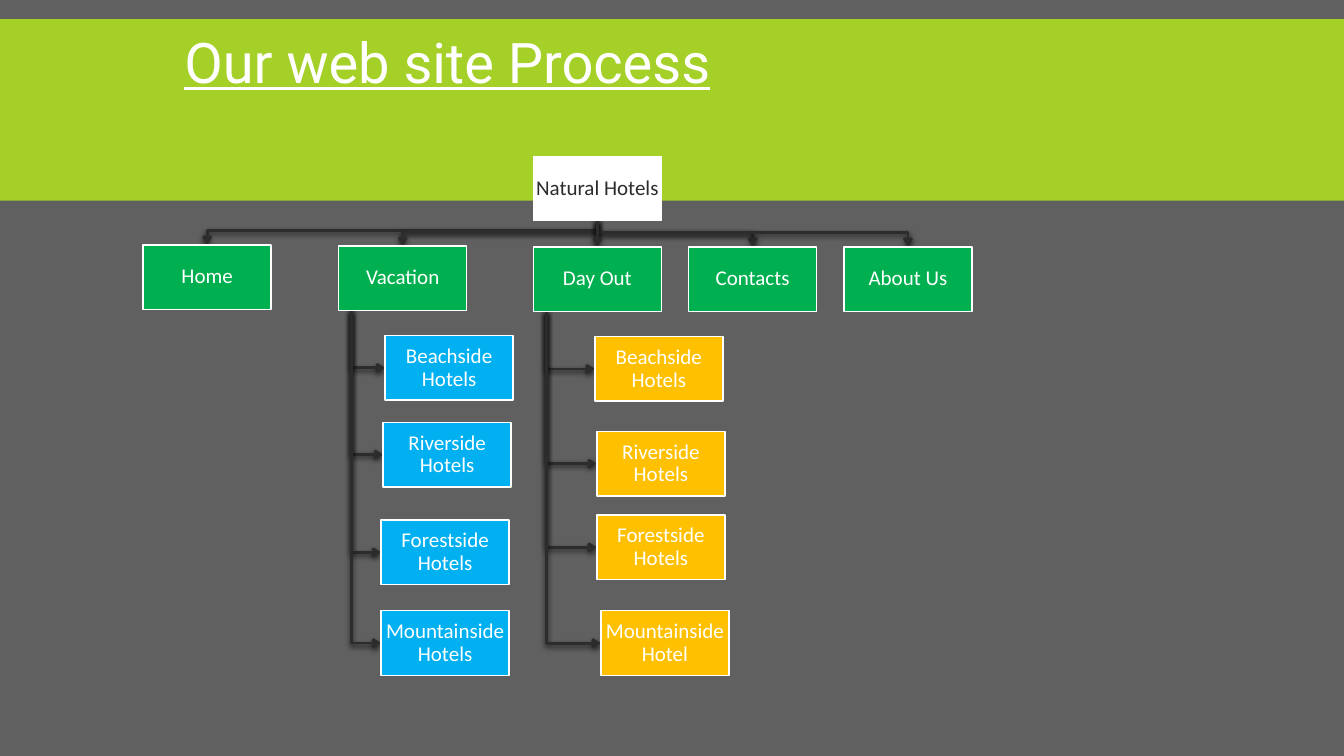
from dataclasses import dataclass

from lxml.etree import SubElement
from pptx import Presentation
from pptx.dml.color import RGBColor
from pptx.enum.shapes import MSO_CONNECTOR, MSO_SHAPE
from pptx.enum.text import MSO_ANCHOR, MSO_AUTO_SIZE, PP_ALIGN
from pptx.oxml.ns import qn
from pptx.util import Inches, Pt


@dataclass(frozen=True)
class Theme:
    """Colours, fonts and type sizes of the slide."""

    background: str = "606060"
    band: str = "A5D028"
    ink: str = "2C2C2C"
    white: str = "FFFFFF"
    page: str = "00B050"
    vacation: str = "00B0F0"
    day_out: str = "FFC000"
    shadow: str = "000000"
    title_font: str = "Roboto"
    box_font: str = "Calibri"
    title_size: int = 40
    box_size: int = 15


@dataclass(frozen=True)
class Node:
    """A labelled box of the site map, placed in inches."""

    label: str
    left: float
    top: float
    width: float = 1.27
    height: float = 0.64

    @property
    def center(self):
        """Return the horizontal centre."""
        return self.left + self.width / 2

    @property
    def middle(self):
        """Return the vertical centre."""
        return self.top + self.height / 2

    @property
    def bottom(self):
        """Return the lower edge."""
        return self.top + self.height


class SiteMapSlide:
    """Draws the elements of the site map on one slide."""

    def __init__(self, slide, theme):
        """Keep the slide and theme, and paint the background."""
        self.shapes = slide.shapes
        self.theme = theme
        self.paint(slide.background.fill, theme.background)

    def paint(self, fill, color):
        """Make a fill solid in the given colour."""
        fill.solid()
        fill.fore_color.rgb = RGBColor.from_string(color)

    def style_text(self, paragraph, font, size, color):
        """Format every run of a paragraph."""
        for run in paragraph.runs:
            run.font.name = font
            run.font.size = Pt(size)
            run.font.color.rgb = RGBColor.from_string(color)

    def rectangle(self, left, top, width, height, color):
        """Add a flat rectangle without an outline."""
        panel = self.shapes.add_shape(
            MSO_SHAPE.RECTANGLE, *map(Inches, (left, top, width, height)))
        panel.shadow.inherit = False
        self.paint(panel.fill, color)
        panel.line.fill.background()
        return panel

    def title(self, text, left, top, width, height):
        """Add the underlined heading."""
        heading = self.shapes.add_textbox(*map(Inches, (left, top, width, height)))
        frame = heading.text_frame
        frame.word_wrap = True
        frame.auto_size = MSO_AUTO_SIZE.SHAPE_TO_FIT_TEXT
        frame.text = text
        paragraph = frame.paragraphs[0]
        self.style_text(paragraph, self.theme.title_font,
                        self.theme.title_size, self.theme.white)
        paragraph.runs[0].font.underline = True

    def box(self, node, fill, text_color):
        """Add a labelled box with a white outline."""
        box = self.rectangle(node.left, node.top, node.width, node.height, fill)
        self.paint(box.line.fill, self.theme.white)
        box.line.width = Pt(1)
        frame = box.text_frame
        frame.word_wrap = True
        frame.vertical_anchor = MSO_ANCHOR.MIDDLE
        frame.margin_left = frame.margin_right = Inches(0.01)
        frame.margin_top = frame.margin_bottom = Inches(0.01)
        frame.text = node.label
        paragraph = frame.paragraphs[0]
        paragraph.alignment = PP_ALIGN.CENTER
        paragraph.line_spacing = 0.9
        self.style_text(paragraph, self.theme.box_font,
                        self.theme.box_size, text_color)
        return box

    def style_arrow(self, arrow):
        """Give a line its colour, arrowhead and soft shadow."""
        self.paint(arrow.line.fill, self.theme.ink)
        arrow.line.width = Pt(2)
        properties = arrow._element.spPr
        SubElement(properties.find(qn("a:ln")), qn("a:tailEnd"), type="arrow")
        effects = SubElement(properties, qn("a:effectLst"))
        shadow = SubElement(effects, qn("a:outerShdw"), blurRad=str(Pt(4)),
                            dist=str(Pt(1.2)), dir="5400000", rotWithShape="0")
        color = SubElement(shadow, qn("a:srgbClr"), val=self.theme.shadow)
        SubElement(color, qn("a:alpha"), val="68000")

    def elbow(self, *points):
        """Add a bent arrow through the given points."""
        start, *bends = [(Inches(x), Inches(y)) for x, y in points]
        builder = self.shapes.build_freeform(*start)
        builder.add_line_segments(bends, close=False)
        arrow = builder.convert_to_shape()
        arrow.fill.background()
        self.style_arrow(arrow)

    def straight(self, parent, child):
        """Add a vertical arrow from a parent to the child below it."""
        arrow = self.shapes.add_connector(
            MSO_CONNECTOR.STRAIGHT, Inches(parent.center), Inches(parent.bottom),
            Inches(child.center), Inches(child.top))
        self.style_arrow(arrow)
        return arrow

    def drop(self, parent, child):
        """Add an arrow that spreads sideways just above the child."""
        turn = child.top - 0.14
        self.elbow((parent.center, parent.bottom), (parent.center, turn),
                   (child.center, turn), (child.center, child.top))

    def branch(self, parent, child):
        """Add an arrow down the parent's left side into the child."""
        trunk = parent.left + 0.13
        self.elbow((trunk, parent.bottom), (trunk, child.middle),
                   (child.left, child.middle))


def main():
    """Build the site map and save it."""
    deck = Presentation()
    deck.slide_width, deck.slide_height = Inches(13.33), Inches(7.5)
    theme = Theme()
    site = SiteMapSlide(deck.slides.add_slide(deck.slide_layouts[6]), theme)

    root = Node("Natural Hotels", 5.29, 1.55)
    home = Node("Home", 1.42, 2.43)
    vacation = Node("Vacation", 3.36, 2.44)
    day_out = Node("Day Out", 5.29, 2.45)
    contacts = Node("Contacts", 6.83, 2.45)
    about = Node("About Us", 8.37, 2.45)
    vacation_hotels = [
        Node("Beachside Hotels", 3.82, 3.33),
        Node("Riverside Hotels", 3.8, 4.19),
        Node("Forestside Hotels", 3.78, 5.16),
        Node("Mountainside Hotels", 3.78, 6.06),
    ]
    day_out_hotels = [
        Node("Beachside Hotels", 5.9, 3.34),
        Node("Riverside Hotels", 5.92, 4.28),
        Node("Forestside Hotels", 5.92, 5.11),
        Node("Mountainside Hotel", 5.96, 6.06),
    ]
    families = [(vacation, vacation_hotels, theme.vacation),
                (day_out, day_out_hotels, theme.day_out)]

    site.rectangle(0, 0.19, 13.33, 1.8, theme.band)
    for page in (home, vacation, contacts, about):
        site.drop(root, page)
    center_arrow = site.straight(root, day_out)
    for parent, hotels, _ in families:
        for hotel in hotels:
            site.branch(parent, hotel)

    center_arrow.begin_connect(site.box(root, theme.white, theme.ink), 2)
    center_arrow.end_connect(site.box(day_out, theme.page, theme.white), 0)
    for page in (home, vacation, contacts, about):
        site.box(page, theme.page, theme.white)
    for _, hotels, color in families:
        for hotel in hotels:
            site.box(hotel, color, theme.white)
    site.title("Our web site Process", 1.73, 0.22, 8.39, 0.77)
    deck.save("out.pptx")


if __name__ == "__main__":
    main()
